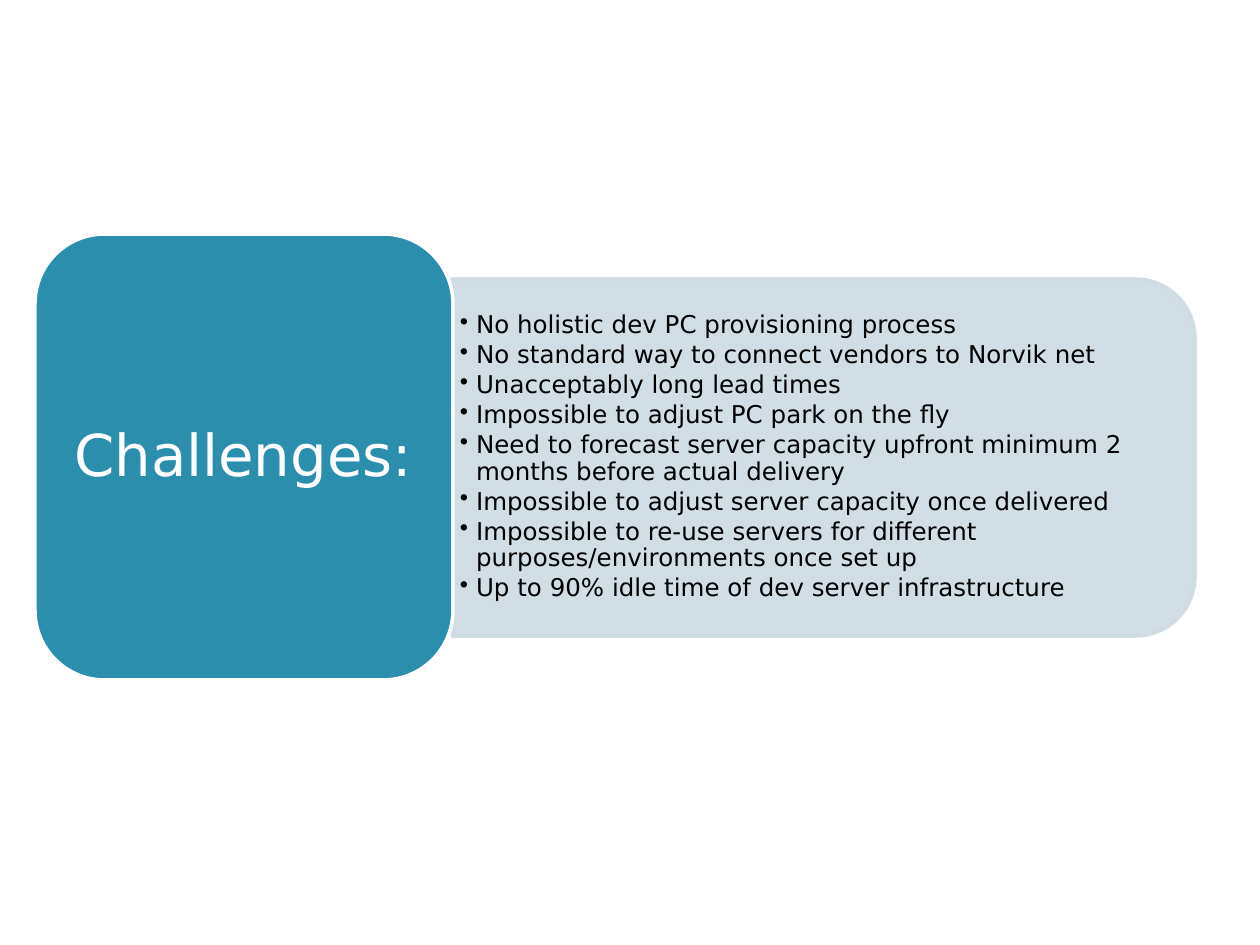
from lxml import etree
from pptx import Presentation
from pptx.dml.color import RGBColor
from pptx.enum.shapes import MSO_SHAPE
from pptx.enum.text import MSO_ANCHOR, PP_ALIGN
from pptx.oxml.ns import qn
from pptx.util import Emu, Pt

ROUND = MSO_SHAPE.ROUNDED_RECTANGLE
TAB = MSO_SHAPE.ROUND_2_SAME_RECTANGLE
MIDDLE = MSO_ANCHOR.MIDDLE
LEFT, CENTER = PP_ALIGN.LEFT, PP_ALIGN.CENTER

SCALE = 914400 / 126  # EMU per px
COLORS = {"teal": "2B8EAD", "mist": "CDDBE3", "white": "FFFFFF", "black": "000000"}
ITEMS = [
    "No holistic dev PC provisioning process",
    "No standard way to connect vendors to Norvik net",
    "Unacceptably long lead times",
    "Impossible to adjust PC park on the fly",
    "Need to forecast server capacity upfront minimum 2 months before actual delivery",
    "Impossible to adjust server capacity once delivered",
    "Impossible to re-use servers for different purposes/environments once set up",
    "Up to 90% idle time of dev server infrastructure",
]


def px(n):
    return Emu(round(n * SCALE))


def rgb(name):
    return RGBColor.from_string(COLORS[name])


class Deck:
    font = "DejaVu Sans"
    spacing = 0.9
    border = Pt(2)

    def __init__(self, width, height):
        self.prs = Presentation()
        self.prs.slide_width, self.prs.slide_height = px(width), px(height)
        self.slide = self.prs.slides.add_slide(self.prs.slide_layouts[6])

    def panel(self, kind, box, fill, line, turn=0, alpha=100):
        shape = self.slide.shapes.add_shape(kind, *map(px, box))
        shape.shadow.inherit = False
        shape.rotation = turn
        shape.fill.solid()
        shape.fill.fore_color.rgb = rgb(fill)
        shape.line.color.rgb = rgb(line)
        shape.line.width = self.border
        if alpha < 100:
            for color in shape.element.spPr.iter(qn("a:srgbClr")):
                etree.SubElement(color, qn("a:alpha"), val=str(alpha * 1000))

    def text(self, box, lines, size, color, pad, align=LEFT, after=0, indent=0):
        frame = self.slide.shapes.add_textbox(*map(px, box)).text_frame
        frame.word_wrap = True
        frame.vertical_anchor = MIDDLE
        frame.margin_left = frame.margin_right = px(2 * pad)
        frame.margin_top = frame.margin_bottom = px(pad)
        frame.text = "\n".join(lines)
        for para in frame.paragraphs:
            para.alignment = align
            para.line_spacing = self.spacing
            para.space_after = Pt(after)
            font = para.runs[0].font
            font.name, font.size = self.font, Pt(size)
            font.color.rgb = rgb(color)
            if indent:
                self.bullet(para, indent)

    def bullet(self, para, indent):
        para.level = 1
        props = para._p.get_or_add_pPr()
        props.set("marL", str(px(indent)))
        props.set("indent", str(-px(indent)))
        etree.SubElement(props, qn("a:buChar"), char="•")


def main():
    deck = Deck(1260, 945)

    # List panel, turned so that its round corners face right
    deck.panel(TAB, (645, 86, 357, 743), "mist", "mist", turn=90, alpha=90)
    deck.text((452, 296, 726, 323), ITEMS, 14, "black", 4, after=2, indent=16)

    # Heading block
    deck.panel(ROUND, (35, 234, 418, 446), "teal", "white")
    deck.text((55, 255, 377, 406), ["Challenges:"], 33, "white", 9, align=CENTER)

    deck.prs.save("out.pptx")


if __name__ == "__main__":
    main()
